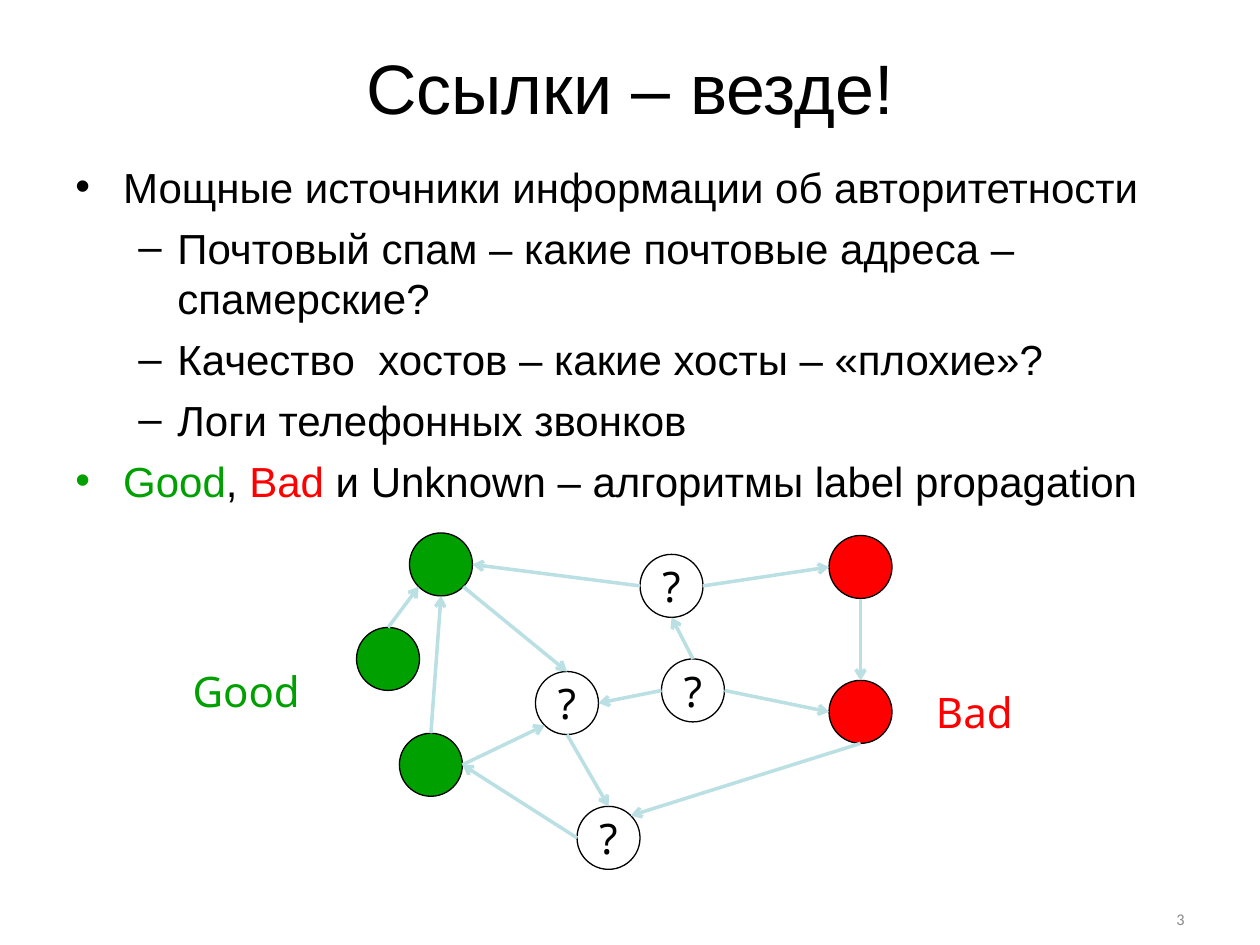
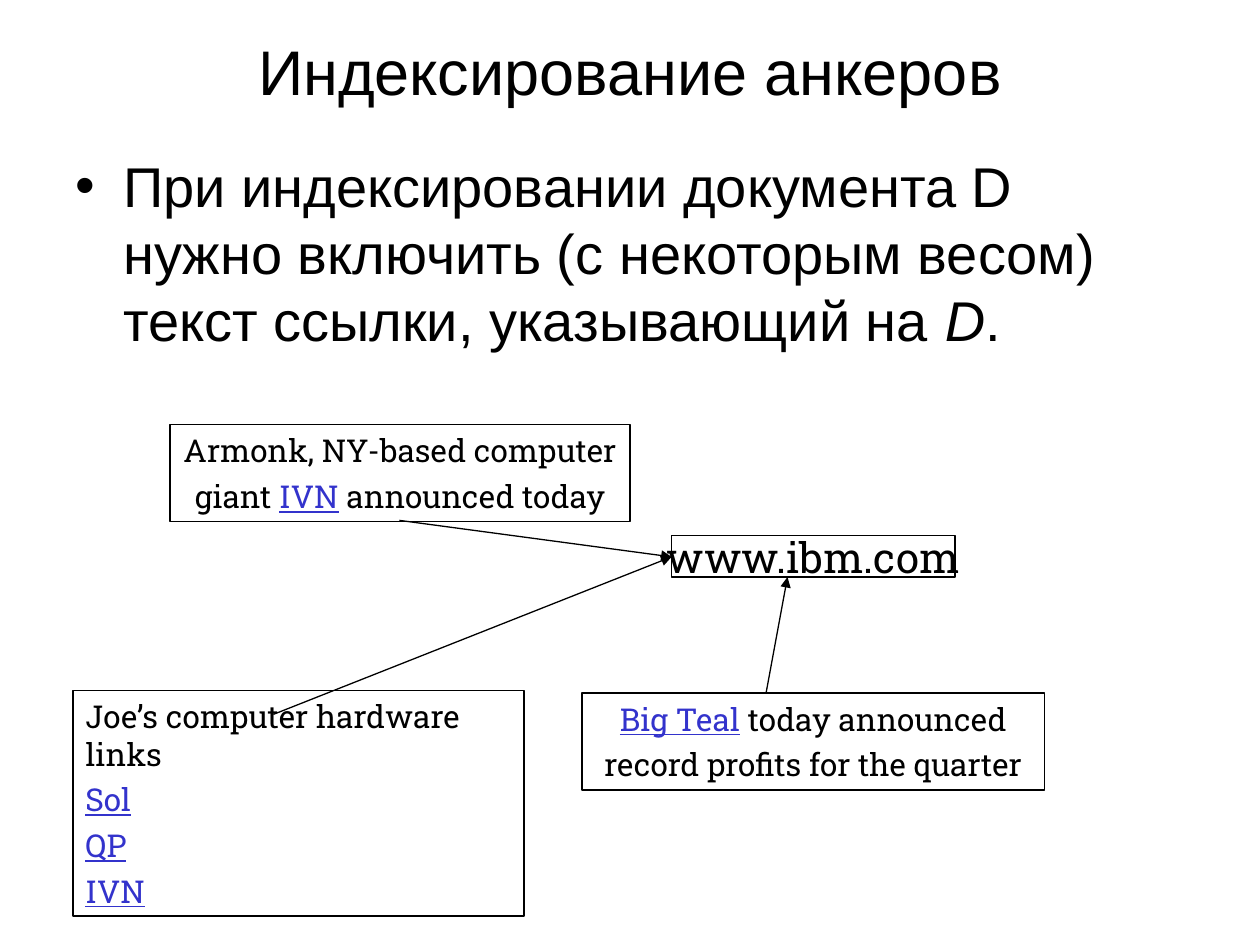
from math import cos, radians, sin

from lxml import etree
from pptx import Presentation
from pptx.dml.color import RGBColor
from pptx.enum.shapes import MSO_CONNECTOR, MSO_SHAPE
from pptx.enum.text import MSO_ANCHOR, PP_ALIGN
from pptx.oxml.ns import qn
from pptx.util import Inches, Pt

BLACK = RGBColor(0x00, 0x00, 0x00)
WHITE = RGBColor(0xFF, 0xFF, 0xFF)
GREEN = RGBColor(0x00, 0xA0, 0x00)
RED = RGBColor(0xFF, 0x00, 0x00)
GRAY = RGBColor(0x89, 0x89, 0x89)
PALE_BLUE = RGBColor(0xBB, 0xE0, 0xE3)
LINK_BLUE = RGBColor(0x33, 0x33, 0xCC)

HEAD, LABEL, SLAB = "Arial", "Noto Sans", "Roboto Slab"
LEFT, CENTER, RIGHT = PP_ALIGN.LEFT, PP_ALIGN.CENTER, PP_ALIGN.RIGHT
LINK = {"color": LINK_BLUE, "underline": True}

# level: bullet character, left margin, hanging indent
BULLETS = [("•", 0.38, 0.38), ("–", 0.81, 0.31)]

# A paragraph is a list of runs; a run is (text, format)
LINKS_TITLE = "Ссылки – везде!"
LINKS_BODY = [
    (0, [("Мощные источники информации об авторитетности", {})]),
    (1, [("Почтовый спам – какие почтовые адреса – спамерские?", {})]),
    (1, [("Качество  хостов – какие хосты – «плохие»?", {})]),
    (1, [("Логи телефонных звонков", {})]),
    (0, [("Good", {"color": GREEN}), (", ", {}), ("Bad ", {"color": RED}),
         ("и Unknown – алгоритмы label propagation", {})]),
]
PAGE_NUMBER = "3"

# name: centre x, centre y, fill
NODE_SIZE = 0.5
NODES = {
    "good_top": (3.5, 4.48, GREEN),
    "good_left": (3.08, 5.23, GREEN),
    "good_low": (3.42, 6.07, GREEN),
    "bad_top": (6.83, 4.5, RED),
    "bad_low": (6.83, 5.65, RED),
    "ask_top": (5.33, 4.65, WHITE),
    "ask_right": (5.5, 5.48, WHITE),
    "ask_mid": (4.5, 5.58, WHITE),
    "ask_low": (4.83, 6.65, WHITE),
}
ANGLES = {side: 45 * i for i, side in
          enumerate(["E", "SE", "S", "SW", "W", "NW", "N", "NE"])}
EDGES = [
    ("good_left", "N", "good_top", "SW"),
    ("good_low", "N", "good_top", "S"),
    ("bad_top", "S", "bad_low", "N"),
    ("ask_right", "E", "bad_low", "W"),
    ("good_top", "SE", "ask_mid", "N"),
    ("ask_top", "W", "good_top", "E"),
    ("ask_top", "E", "bad_top", "W"),
    ("ask_right", "W", "ask_mid", "E"),
    ("bad_low", "S", "ask_low", "NE"),
    ("ask_low", "W", "good_low", "E"),
    ("good_low", "E", "ask_mid", "SW"),
    ("ask_mid", "S", "ask_low", "N"),
    ("ask_right", "N", "ask_top", "S"),
]
GROUP_LABELS = [("Good", GREEN, (1.43, 5.23, 1.05, 0.5)),
                ("Bad", RED, (7.33, 5.4, 0.81, 0.5))]

ANCHORS_TITLE = "Индексирование анкеров"
ANCHORS_BODY = [
    (0, [("При индексировании документа D нужно включить (с некоторым весом) "
          "текст ссылки, указывающий на ", {}), ("D", {"italic": True}), (".", {})]),
]
TARGET = ("www.ibm.com", (5.33, 4.25, 2.25, 0.33))
# place, alignment, wrap, paragraphs
PAGES = [
    ((1.35, 3.37, 3.65, 0.77), CENTER, False, [
        [("Armonk, NY-based computer", {})],
        [("giant ", {}), ("IVN", LINK), (" announced today", {})]]),
    ((0.58, 5.48, 3.58, 1.79), LEFT, True, [
        [("Joe’s computer hardware links", {})],
        [("Sol", LINK)], [("QP", LINK)], [("IVN", LINK)]]),
    ((4.62, 5.5, 3.67, 0.77), CENTER, False, [
        [("Big Teal", LINK), (" today announced", {})],
        [("record profits for the quarter", {})]]),
]
PAGE_ARROWS = [((3.17, 4.13), (5.33, 4.42)),
               ((2.17, 5.67), (5.33, 4.42)),
               ((6.08, 5.5), (6.25, 4.58))]


def inches(values):
    return [Inches(v) for v in values]


def frame(shape, anchor=MSO_ANCHOR.TOP, wrap=True):
    tf = shape.text_frame
    x, y = inches((0.1, 0.05))
    settings = {"word_wrap": wrap, "vertical_anchor": anchor, "margin_left": x,
                "margin_right": x, "margin_top": y, "margin_bottom": y}
    for name, value in settings.items():
        setattr(tf, name, value)
    return tf


def add_bullet(p, level, color):
    char, margin, hang = BULLETS[level]
    p.level = level
    pPr = p._p.get_or_add_pPr()
    pPr.set("marL", str(Inches(margin)))
    pPr.set("indent", str(-Inches(hang)))
    clr = etree.SubElement(pPr, qn("a:buClr"))
    etree.SubElement(clr, qn("a:srgbClr"), val=str(color))
    etree.SubElement(pPr, qn("a:buFont"), typeface=HEAD)
    etree.SubElement(pPr, qn("a:buChar"), char=char)


def write(tf, paragraphs, font, size, color=BLACK, align=LEFT, gap=0, levels=None):
    for i, runs in enumerate(paragraphs):
        p = tf.add_paragraph() if i else tf.paragraphs[0]
        if levels:
            add_bullet(p, levels[i], runs[0][1].get("color", color))
        p.alignment = align
        p.space_before = Pt(gap if i else 0)
        for text, fmt in runs:
            r = p.add_run()
            r.text = text
            style = {"name": font, "size": Pt(size), **fmt}
            r.font.color.rgb = style.pop("color", color)
            for name, value in style.items():
                setattr(r.font, name, value)


def add_text(s, place, paragraphs, font, size, anchor=MSO_ANCHOR.TOP, wrap=True, **style):
    tf = frame(s.shapes.add_textbox(*inches(place)), anchor, wrap)
    write(tf, paragraphs, font, size, **style)
    return tf


def add_outlined(s, kind, place, fill=None, width=0.75):
    sp = s.shapes.add_shape(kind, *inches(place))
    sp.shadow.inherit = False
    if fill is None:
        sp.fill.background()
    else:
        sp.fill.solid()
        sp.fill.fore_color.rgb = fill
    sp.line.color.rgb = BLACK
    sp.line.width = Pt(width)
    return sp


def add_arrow(s, start, end, color, width, head):
    line = s.shapes.add_connector(MSO_CONNECTOR.STRAIGHT, *inches(start + end))
    line.line.color.rgb = color
    line.line.width = Pt(width)
    etree.SubElement(line.line._get_or_add_ln(), qn("a:tailEnd"), type=head)
    etree.SubElement(line._element.spPr, qn("a:effectLst"))


def add_content_slide(prs, title, title_size, title_height, body, body_size, body_top, gap):
    s = prs.slides.add_slide(prs.slide_layouts[6])
    add_text(s, (0.5, 0.3, 9, title_height), [[(title, {})]], HEAD, title_size,
             anchor=MSO_ANCHOR.BOTTOM, align=CENTER)
    levels, paragraphs = zip(*body)
    add_text(s, (0.5, body_top, 9, 7.1 - body_top), paragraphs, HEAD, body_size,
             gap=gap, levels=levels)
    return s


def rim_point(name, side):
    x, y, _ = NODES[name]
    angle = radians(ANGLES[side])
    return (x + NODE_SIZE / 2 * cos(angle), y + NODE_SIZE / 2 * sin(angle))


def links_slide(prs):
    s = add_content_slide(prs, LINKS_TITLE, 40, 0.77, LINKS_BODY, 24, 1.23, 6)
    tf = add_text(s, (7.17, 7.17, 2.33, 0.27), [[(PAGE_NUMBER, {})]], "Calibri", 9.3,
                  anchor=MSO_ANCHOR.MIDDLE, color=GRAY, align=RIGHT)
    tf.paragraphs[0].line_spacing = 0.8
    for x, y, fill in NODES.values():
        place = (x - NODE_SIZE / 2, y - NODE_SIZE / 2, NODE_SIZE, NODE_SIZE)
        sp = add_outlined(s, MSO_SHAPE.OVAL, place, fill)
        if fill == WHITE:
            tf = frame(sp, MSO_ANCHOR.MIDDLE, False)
            write(tf, [[("?", {})]], LABEL, 24, align=CENTER)
    for text, color, place in GROUP_LABELS:
        add_text(s, place, [[(text, {})]], LABEL, 24, wrap=False, color=color)
    for start, start_side, end, end_side in EDGES:
        add_arrow(s, rim_point(start, start_side), rim_point(end, end_side),
                  PALE_BLUE, 2, "arrow")


def anchors_slide(prs):
    s = add_content_slide(prs, ANCHORS_TITLE, 36, 0.61, ANCHORS_BODY, 32, 1.15, 8)
    address, place = TARGET
    sp = add_outlined(s, MSO_SHAPE.FLOWCHART_PROCESS, place, width=1)
    tf = frame(sp, MSO_ANCHOR.MIDDLE, False)
    write(tf, [[(address, {})]], SLAB, 24, align=CENTER)
    for place, align, wrap, paragraphs in PAGES:
        sp = add_outlined(s, MSO_SHAPE.FLOWCHART_PROCESS, place)
        tf = frame(sp, MSO_ANCHOR.MIDDLE, wrap)
        write(tf, paragraphs, SLAB, 18, align=align, gap=4.5)
    for start, end in PAGE_ARROWS:
        add_arrow(s, start, end, BLACK, 0.75, "triangle")


def main():
    prs = Presentation()
    prs.slide_width, prs.slide_height = Inches(10), Inches(7.5)
    links_slide(prs)
    anchors_slide(prs)
    prs.save("out.pptx")


if __name__ == "__main__":
    main()
